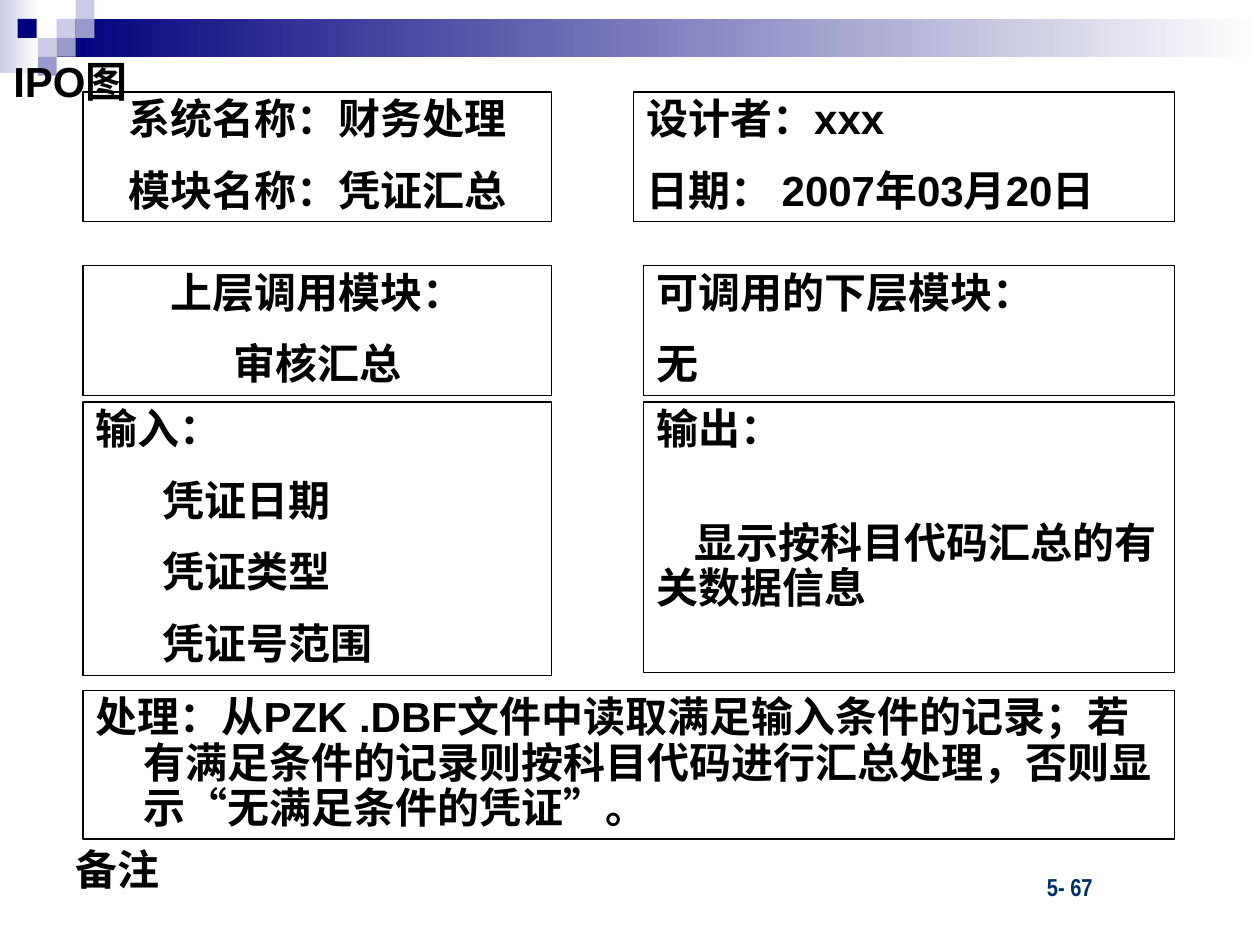
from dataclasses import dataclass

from pptx import Presentation
from pptx.dml.color import RGBColor
from pptx.enum.shapes import MSO_SHAPE
from pptx.enum.text import MSO_ANCHOR, PP_ALIGN
from pptx.util import Inches, Pt

RECT = MSO_SHAPE.RECTANGLE
TOP = MSO_ANCHOR.TOP
LEFT, CENTER = PP_ALIGN.LEFT, PP_ALIGN.CENTER


@dataclass(frozen=True)
class Theme:
    navy: RGBColor = RGBColor(0x00, 0x00, 0x7D)
    mid: RGBColor = RGBColor(0x99, 0x99, 0xCC)
    pale: RGBColor = RGBColor(0xCC, 0xCC, 0xE6)
    white: RGBColor = RGBColor(0xFF, 0xFF, 0xFF)
    black: RGBColor = RGBColor(0x00, 0x00, 0x00)
    number: RGBColor = RGBColor(0x00, 0x31, 0x62)
    font: str = "Arial"
    number_font: str = "Arial Narrow"
    body_size: int = 24
    number_size: int = 14


THEME = Theme()
HANGING = (0.38, -0.38)
ITEM = (0.53, 0)
FIRST_LINE = (0, 0.3)

prs = Presentation()
prs.slide_width, prs.slide_height = Inches(10), Inches(7.5)
s = prs.slides.add_slide(prs.slide_layouts[6])


def add_rect(x, y, w, h):
    sp = s.shapes.add_shape(RECT, Inches(x), Inches(y), Inches(w), Inches(h))
    sp.shadow.inherit = False
    sp.line.fill.background()
    return sp


def write(sp, lines, align=LEFT, wrap=True, font=THEME.font,
          size=THEME.body_size, color=THEME.black):
    """Fill a shape with (text, (margin, first-line indent), space before) lines."""
    tf = sp.text_frame
    tf.word_wrap = wrap
    tf.vertical_anchor = TOP
    for i, (text, (margin, indent), before) in enumerate(lines):
        p = tf.add_paragraph() if i else tf.paragraphs[0]
        p.alignment = align
        p.line_spacing = 0.9
        p.space_before = Pt(before if i else 0)
        pPr = p._p.get_or_add_pPr()
        pPr.set("marL", str(Inches(margin)))
        pPr.set("indent", str(Inches(indent)))
        r = p.add_run()
        r.text = text
        r.font.name, r.font.size, r.font.bold = font, Pt(size), True
        r.font.color.rgb = color


# Header: two gradient bands and a checker of small squares
for box, start in [((0, 0, 0.31, 0.58), THEME.pale),
                   ((0.45, 0.15, 9.55, 0.3), THEME.navy)]:
    fill = add_rect(*box).fill
    fill.gradient()
    fill.gradient_angle = 0
    for stop, color in zip(fill.gradient_stops, (start, THEME.white)):
        stop.color.rgb = color

SQUARE = 0.15
for x, y, color in [(0.45, 0.15, THEME.pale), (0.6, 0, THEME.pale),
                    (0.6, 0.15, THEME.mid), (0.3, 0.3, THEME.pale),
                    (0.14, 0.15, THEME.navy), (0.45, 0.3, THEME.mid),
                    (0.3, 0.45, THEME.mid)]:
    sp = add_rect(x, y, SQUARE, SQUARE)
    sp.fill.solid()
    sp.fill.fore_color.rgb = color

# Framed fields of the IPO chart
X1, X2, RIGHT = 0.66, 5.11, 9.32
W1, W2 = 3.72, RIGHT - X2
fields = [
    ((X1, 0.73, W1, 1.03), CENTER,
     [("系统名称：财务处理", HANGING, 0), ("模块名称：凭证汇总", HANGING, 15)]),
    ((5.03, 0.73, RIGHT - 5.03, 1.03), LEFT,
     [("设计者：xxx", HANGING, 0), ("日期： 2007年03月20日", HANGING, 15)]),
    ((X1, 2.11, W1, 1.03), CENTER,
     [("上层调用模块：", HANGING, 0), ("审核汇总", HANGING, 15)]),
    ((X1, 3.19, W1, 2.17), LEFT,
     [("输入：", HANGING, 0), ("凭证日期", ITEM, 15),
      ("凭证类型", ITEM, 15), ("凭证号范围", ITEM, 15)]),
    ((X1, 5.48, RIGHT - X1, 1.18), LEFT,
     [("处理：从PZK .DBF文件中读取满足输入条件的记录；若有满足条件的记录则按"
       "科目代码进行汇总处理，否则显示“无满足条件的凭证”。", HANGING, 0)]),
    ((X2, 3.19, W2, 2.15), LEFT,
     [("输出：", (0, 0), 0),
      ("显示按科目代码汇总的有关数据信息", FIRST_LINE, 39)]),
    ((X2, 2.11, W2, 1.03), LEFT,
     [("可调用的下层模块：", HANGING, 0), ("无", HANGING, 15)]),
]
for box, align, lines in fields:
    sp = add_rect(*box)
    sp.fill.background()
    sp.line.color.rgb = THEME.black
    sp.line.width = Pt(0.75)
    write(sp, lines, align)

# Unframed labels and slide number
remark = s.shapes.add_textbox(Inches(0.5), Inches(6.69), Inches(2.75), Inches(0.46))
write(remark, [("备注", HANGING, 0)])

title = s.shapes.add_textbox(Inches(-0.41), Inches(0.44), Inches(1.94), Inches(0.46))
write(title, [("IPO图", HANGING, 0)], CENTER, wrap=False)

number = s.shapes.add_textbox(Inches(7.28), Inches(6.9), Inches(2.08), Inches(0.33))
write(number, [("5- 67", (0.93, 0), 0)], font=THEME.number_font,
      size=THEME.number_size, color=THEME.number)

prs.save("out.pptx")
